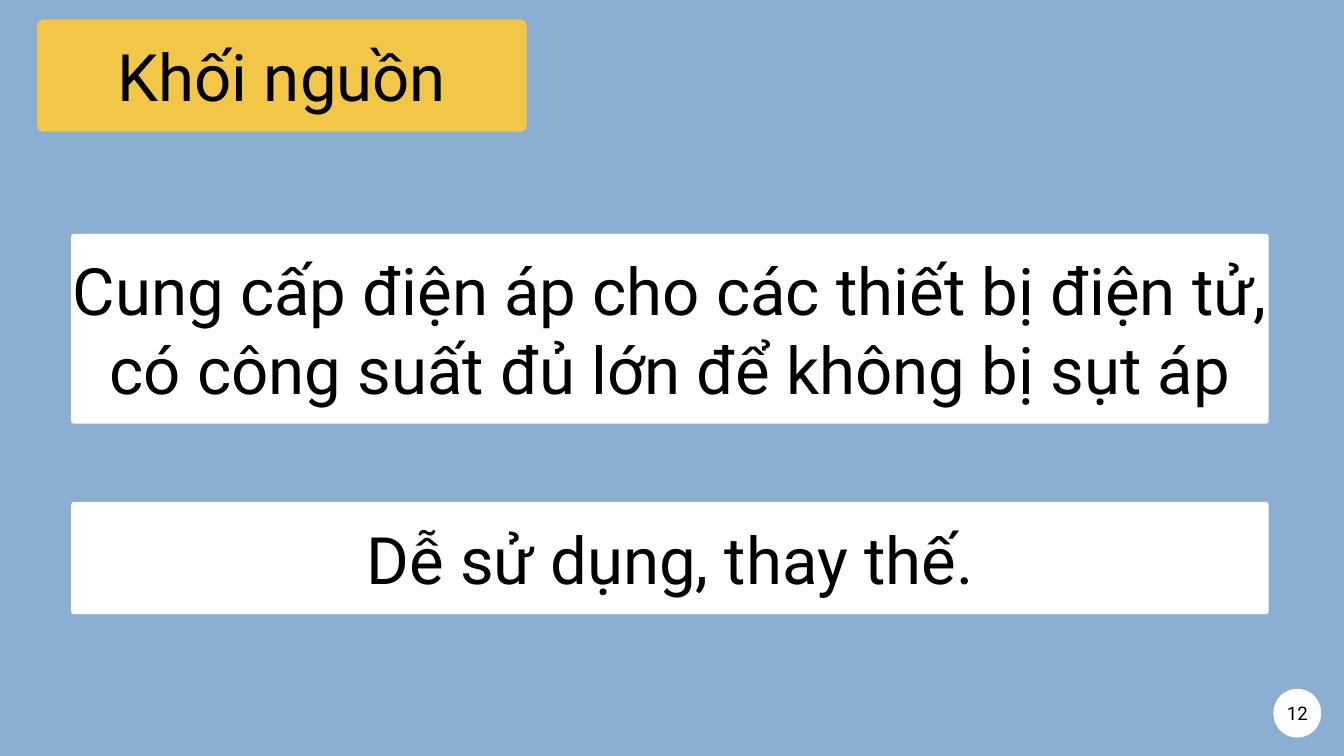
"""Build the power supply slide: a title plate, two statements and a page badge."""
from dataclasses import dataclass

from pptx import Presentation
from pptx.dml.color import RGBColor
from pptx.enum.shapes import MSO_SHAPE
from pptx.enum.text import MSO_ANCHOR, PP_ALIGN
from pptx.slide import Slide
from pptx.util import Inches, Pt

WIDTH, HEIGHT = Inches(20), Inches(11.25)


@dataclass(frozen=True)
class Theme:
    """Colours, font and type sizes of the slide."""
    sky: RGBColor = RGBColor(0x8B, 0xAE, 0xD3)
    yellow: RGBColor = RGBColor(0xF2, 0xC7, 0x48)
    white: RGBColor = RGBColor(0xFF, 0xFF, 0xFF)
    black: RGBColor = RGBColor(0, 0, 0)
    font: str = "Roboto"
    large: int = 70
    small: int = 20
    leading: float = 1.2


THEME = Theme()


@dataclass(frozen=True)
class Plate:
    """A rounded plate with centred text, placed in percent of the slide."""
    text: str
    left: float
    top: float
    width: float
    height: float
    radius: float
    fill: RGBColor = THEME.white
    size: int = THEME.large
    lines: int = 1


STATEMENT = {"left": 5.3, "width": 89.1, "radius": 0.04}

PLATES = (
    Plate("Khối nguồn", 2.75, 2.58, 36.45, 14.84, 0.1, fill=THEME.yellow),
    Plate("Cung cấp điện áp cho các thiết bị điện tử, có công suất đủ lớn để không bị sụt áp",
          top=30.93, height=25.1, lines=2, **STATEMENT),
    Plate("Dễ sử dụng, thay thế.", top=66.4, height=14.84, **STATEMENT),
    Plate("12", 94.75, 91.11, 3.55, 6.45, 0.36, size=THEME.small),
)


def across(share: float) -> int:
    """Turn a percentage of the slide's width into a length."""
    return round(WIDTH * share / 100)


def down(share: float) -> int:
    """Turn a percentage of the slide's height into a length."""
    return round(HEIGHT * share / 100)


def draw_plate(page: Slide, plate: Plate) -> None:
    """Draw a plate grouped with its vertically centred text."""
    left, top = across(plate.left), down(plate.top)
    width, height = across(plate.width), down(plate.height)
    group = page.shapes.add_group_shape()

    panel = group.shapes.add_shape(MSO_SHAPE.ROUNDED_RECTANGLE, left, top, width, height)
    panel.adjustments[0] = min(0.5, Inches(plate.radius) / min(width, height))
    panel.shadow.inherit = False
    panel.fill.solid()
    panel.fill.fore_color.rgb = plate.fill
    panel.line.fill.background()

    line_height = Pt(plate.size * THEME.leading)
    text_height = line_height * plate.lines
    box = group.shapes.add_textbox(left, top + (height - text_height) // 2, width, text_height)
    frame = box.text_frame
    frame.word_wrap = True
    frame.vertical_anchor = MSO_ANCHOR.TOP
    frame.margin_left = frame.margin_right = frame.margin_top = frame.margin_bottom = 0
    para = frame.paragraphs[0]
    para.alignment = PP_ALIGN.CENTER
    para.line_spacing = line_height
    span = para.add_run()
    span.text = plate.text
    span.font.name = THEME.font
    span.font.size = Pt(plate.size)
    span.font.color.rgb = THEME.black


def main() -> None:
    """Build and save the deck."""
    deck = Presentation()
    deck.slide_width, deck.slide_height = WIDTH, HEIGHT
    page = deck.slides.add_slide(deck.slide_layouts[6])
    page.background.fill.solid()
    page.background.fill.fore_color.rgb = THEME.sky
    for plate in PLATES:
        draw_plate(page, plate)
    deck.save("out.pptx")


if __name__ == "__main__":
    main()
